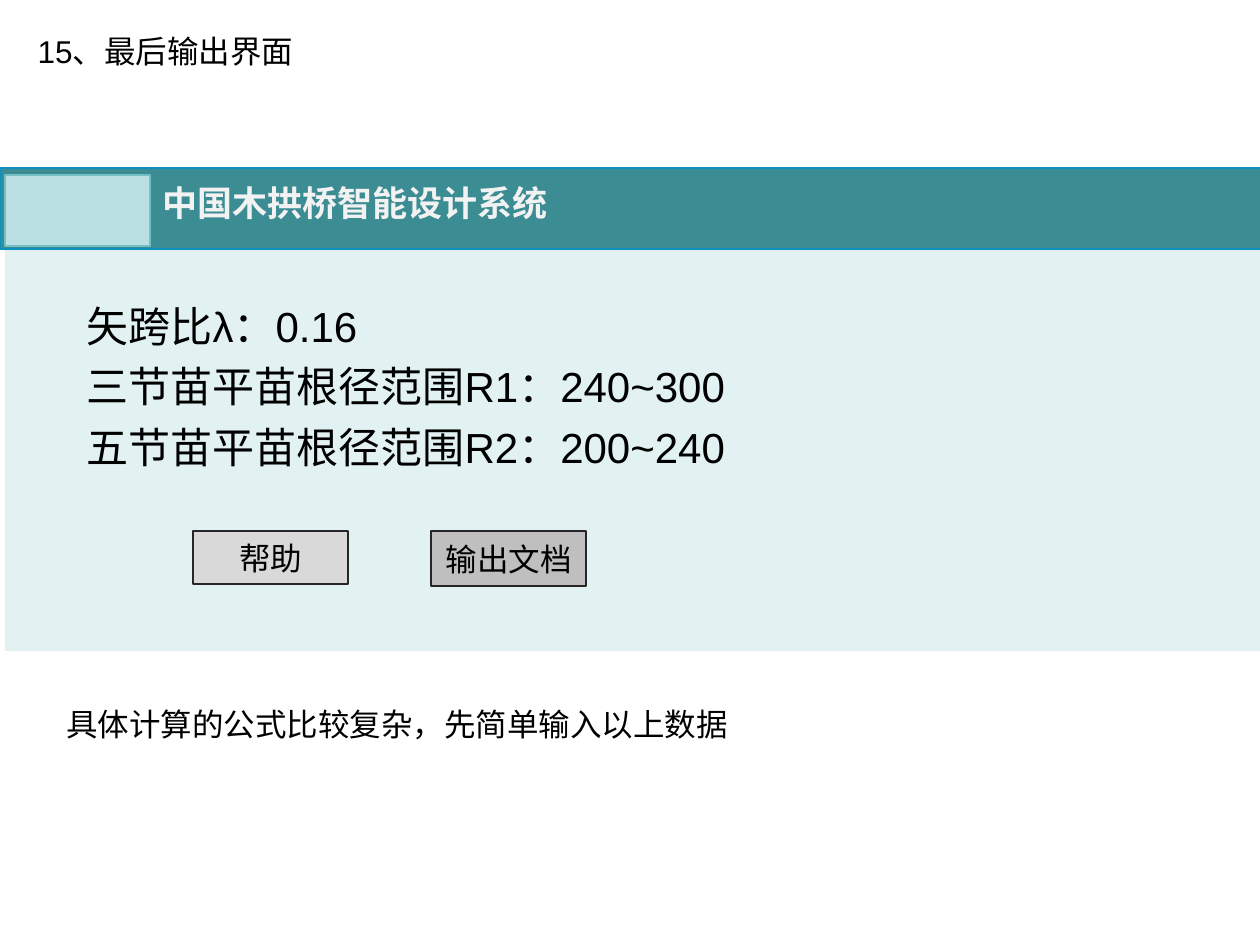
from lxml.etree import SubElement
from pptx import Presentation
from pptx.dml.color import RGBColor
from pptx.enum.shapes import MSO_SHAPE
from pptx.enum.text import MSO_ANCHOR, MSO_AUTO_SIZE, PP_ALIGN
from pptx.oxml.ns import qn
from pptx.util import Pt

SCALE = 914400 / 126
COLORS = {
    "text": "000000", "panel": "9ED3D7", "banner": "3C8C93", "banner_line": "0E90BE",
    "banner_text": "F2F2F2", "logo": "BBE0E3", "logo_line": "72BFC5",
    "help": "D9D9D9", "export": "BFBFBF", "button_line": "262626",
}


def px(*lengths):
    return [round(length * SCALE) for length in lengths]


class SlideBuilder:
    latin = "Arial"
    chinese = "Noto Sans CJK SC"

    def __init__(self, deck):
        self.slide = deck.slides.add_slide(deck.slide_layouts[1])

    def color(self, name):
        return RGBColor.from_string(COLORS[name])

    def fill_text(self, box, lines, size=18, color="text", latin=None, bold=False,
                  align=PP_ALIGN.LEFT, anchor=MSO_ANCHOR.TOP, spacing=1.0):
        frame = box.text_frame
        frame.word_wrap = True
        frame.auto_size = MSO_AUTO_SIZE.NONE
        frame.vertical_anchor = anchor
        frame.text = "\n".join(lines)
        for paragraph in frame.paragraphs:
            paragraph.alignment = align
            paragraph.line_spacing = spacing
            paragraph.space_before = Pt(0)
            font = paragraph.font
            font.name = latin or self.latin
            font.size = Pt(size)
            font.bold = bold
            font.color.rgb = self.color(color)
            for span in paragraph.runs:
                east_asian = SubElement(span.font._element, qn("a:ea"))
                east_asian.set("typeface", self.chinese)

    def text(self, bounds, lines, **style):
        box = self.slide.shapes.add_textbox(*px(*bounds))
        self.fill_text(box, lines, **style)
        return box

    def placeholder(self, index, bounds, lines, **style):
        box = self.slide.placeholders[index]
        box.left, box.top, box.width, box.height = px(*bounds)
        box._element.getparent().append(box._element)
        self.fill_text(box, lines, **style)
        for paragraph in box.text_frame.paragraphs:
            properties = paragraph._p.get_or_add_pPr()
            properties.set("marL", "0")
            properties.set("indent", "0")
            bullet = SubElement(properties, qn("a:buNone"))
            properties.find(qn("a:defRPr")).addprevious(bullet)

    def rectangle(self, bounds, fill, line=None, width=1, alpha=None):
        box = self.slide.shapes.add_shape(MSO_SHAPE.RECTANGLE, *px(*bounds))
        box.shadow.inherit = False
        box.fill.solid()
        box.fill.fore_color.rgb = self.color(fill)
        if alpha:
            shade = box._element.spPr.find(qn("a:solidFill"))[0]
            SubElement(shade, qn("a:alpha")).set("val", str(alpha * 1000))
        if line:
            box.line.color.rgb = self.color(line)
            box.line.width = Pt(width)
        else:
            box.line.fill.background()
        return box

    def button(self, bounds, label, fill):
        box = self.rectangle(bounds, fill, "button_line", 0)
        self.fill_text(box, [label], align=PP_ALIGN.CENTER, anchor=MSO_ANCHOR.MIDDLE)

    def shade_text(self, box):
        for span in box.text_frame.paragraphs[0].runs:
            effects = SubElement(span.font._element, qn("a:effectLst"))
            shadow = SubElement(effects, qn("a:outerShdw"), dist="38100", dir="2700000")
            SubElement(shadow, qn("a:srgbClr"), val=COLORS["text"])
            span.font._element.insert(0, effects)


def main():
    deck = Presentation()
    deck.slide_width, deck.slide_height = px(1260, 945)
    page = SlideBuilder(deck)
    page.rectangle((5, 248, 1260, 403), "panel", alpha=29)
    page.rectangle((0, 168, 1262, 81), "banner", "banner_line")
    heading = page.text((150, 175, 886, 69), ["中国木拱桥智能设计系统"], size=20,
                        color="banner_text", latin=page.chinese, bold=True)
    page.shade_text(heading)
    page.placeholder(0, (25, 26, 717, 50), ["15、最后输出界面"])
    page.rectangle((5, 175, 145, 71), "logo", "logo_line")
    page.placeholder(1, (74, 284, 738, 254), [
        "矢跨比λ：0.16",
        "三节苗平苗根径范围R1：240~300",
        "五节苗平苗根径范围R2：200~240",
    ], size=24, spacing=1.2)
    page.button((431, 531, 155, 55), "输出文档", "export")
    page.button((193, 531, 155, 53), "帮助", "help")
    page.text((54, 699, 897, 50), ["具体计算的公式比较复杂，先简单输入以上数据"])
    deck.save("out.pptx")


if __name__ == "__main__":
    main()
